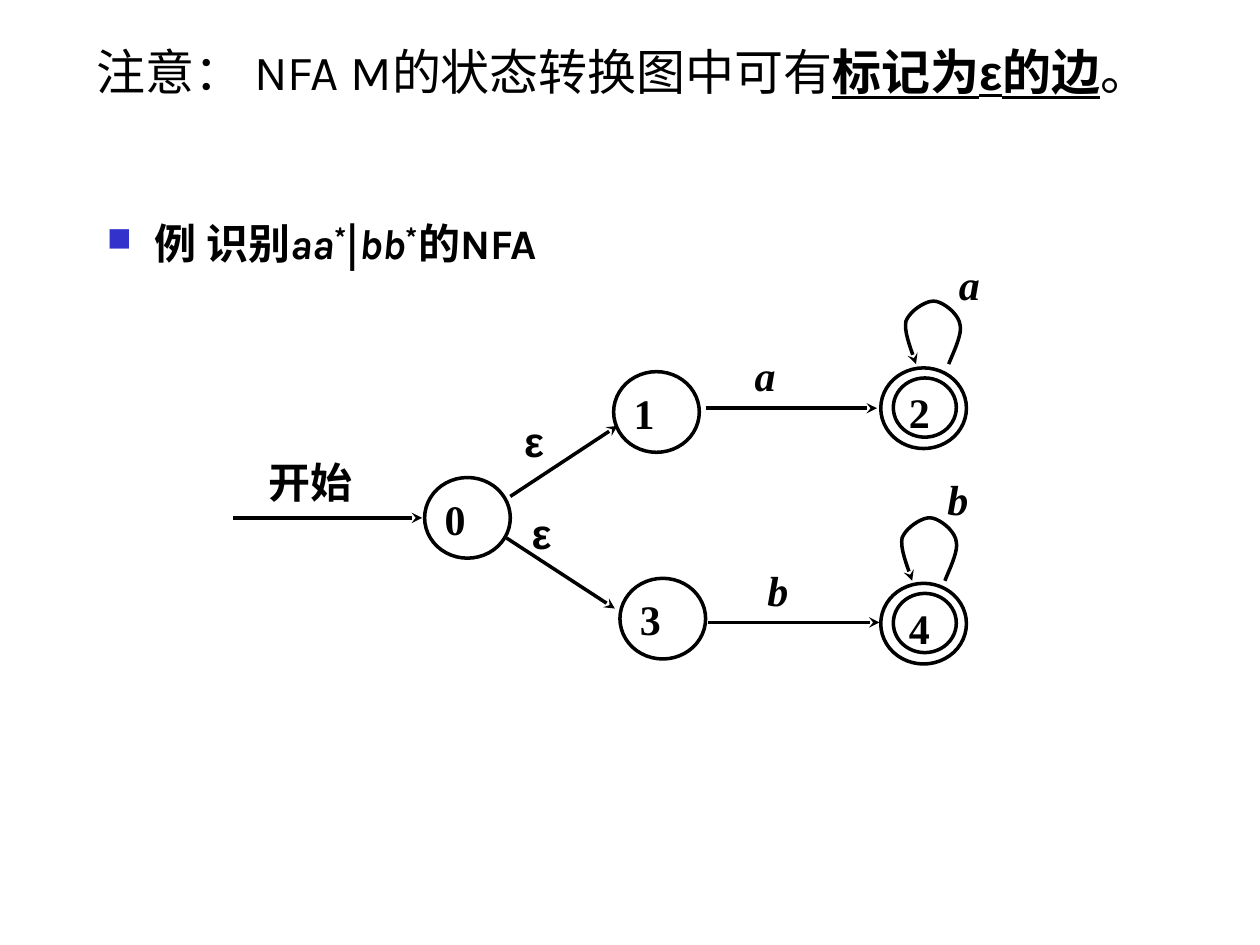
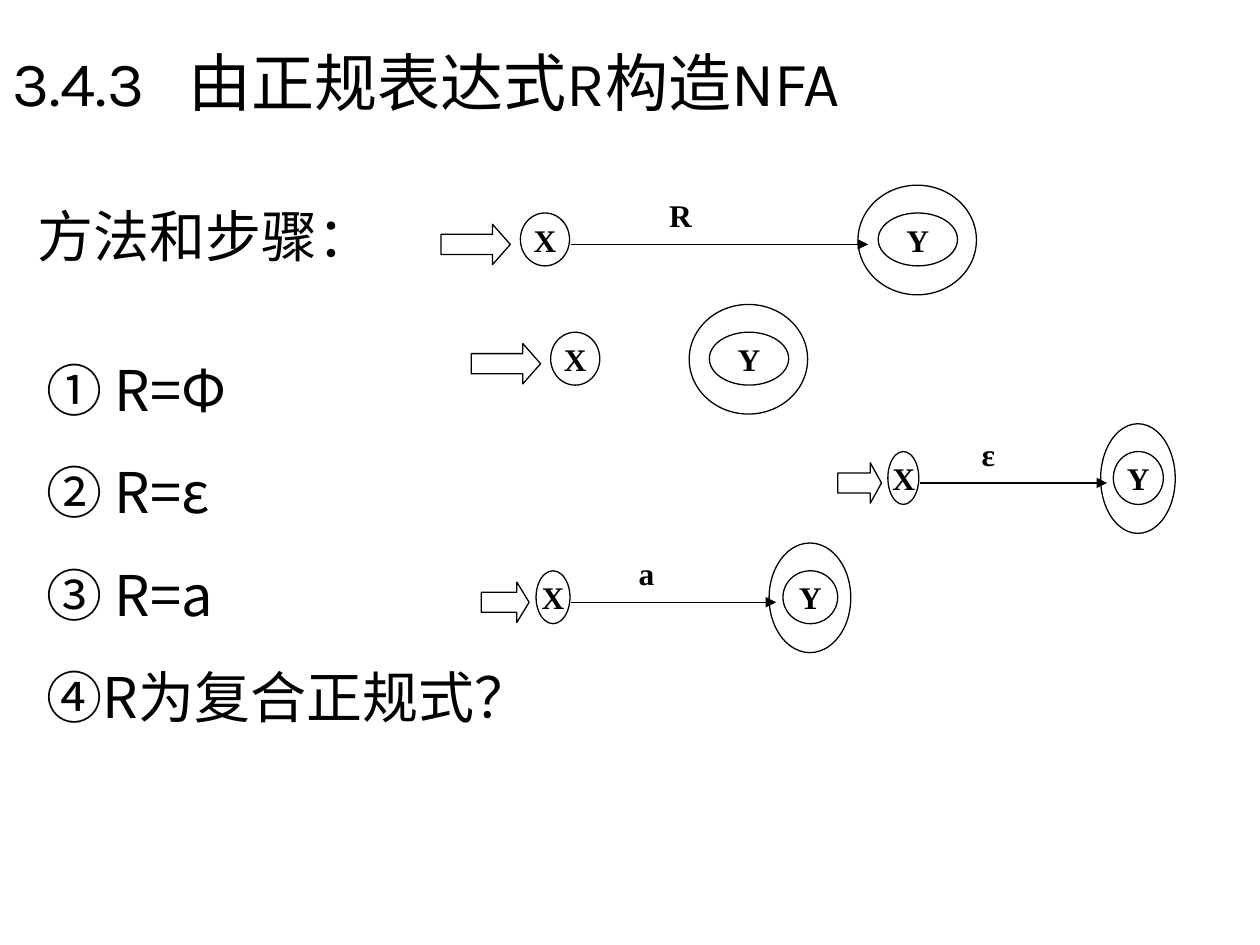
from dataclasses import dataclass

from lxml import etree
from pptx import Presentation
from pptx import util as u
from pptx.dml import color
from pptx.enum import shapes, text
from pptx.oxml import ns

Inches = u.Inches
SHAPE = shapes.MSO_SHAPE
ALIGN = text.PP_ALIGN
ANCHOR = text.MSO_ANCHOR


@dataclass(frozen=True)
class Theme:
    ink: str = "000000"
    paper: str = "FFFFFF"
    bullet: str = "3333CC"
    serif: str = "Times New Roman"
    sans: str = "Karla"
    greek: str = "Arial"
    cjk: str = "Noto Sans CJK SC"
    title: int = 36
    body: int = 32
    note: int = 28
    state: int = 24
    small: int = 18
    thick: float = 2
    thin: float = 0.75


THEME = Theme()
BOX_INSETS = (0.1, 0.05, 0.1, 0.05)
LABEL_INSETS = (0.06, 0.03, 0.06, 0.03)
NO_INSETS = (0, 0, 0, 0)
LOOP = [(0, 0), (0.02, -0.06), (0.11, -0.23), (0.09, -0.31),
        (0.08, -0.4), (-0.05, -0.5), (-0.12, -0.5),
        (-0.19, -0.5), (-0.31, -0.42), (-0.34, -0.34),
        (-0.36, -0.25), (-0.28, -0.07), (-0.26, 0)]


def rgb(value):
    return color.RGBColor.from_string(value)


def add_xml(parent, tag, **attributes):
    return etree.SubElement(parent, ns.qn(tag), attributes)


def bezier(start, first, second, end, steps=10):
    for step in range(1, steps + 1):
        t = step / steps
        weights = ((1 - t) ** 3, 3 * t * (1 - t) ** 2, 3 * t ** 2 * (1 - t), t ** 3)
        yield tuple(sum(weight * point[axis] for weight, point
                        in zip(weights, (start, first, second, end)))
                    for axis in (0, 1))


class SlideBuilder:
    def __init__(self, deck, theme):
        self.deck = deck
        self.theme = theme
        self.page = None

    def new_page(self):
        self.page = self.deck.slides.add_slide(self.deck.slide_layouts[6])
        self.page.background.fill.solid()
        self.page.background.fill.fore_color.rgb = rgb(self.theme.paper)

    def add_span(self, para, content, size, font, bold=False, italic=False,
                 underline=False, raised=False):
        span = para.add_run()
        span.text = content
        span.font.size = u.Pt(size)
        span.font.name = font
        span.font.bold = bold
        span.font.italic = italic
        span.font.underline = underline
        span.font.color.rgb = rgb(self.theme.ink)
        properties = span._r.get_or_add_rPr()
        add_xml(properties, "a:ea", typeface=self.theme.cjk)
        if raised:
            properties.set("baseline", "30000")

    def fill_frame(self, box, paragraphs, size, insets, align=ALIGN.LEFT,
                   anchor=ANCHOR.TOP, gap=0):
        frame = box.text_frame
        frame.word_wrap = True
        frame.vertical_anchor = anchor
        (frame.margin_left, frame.margin_top,
         frame.margin_right, frame.margin_bottom) = map(Inches, insets)
        for index, spans in enumerate(paragraphs):
            para = frame.add_paragraph() if index else frame.paragraphs[0]
            para.alignment = align
            if index:
                para.space_before = u.Pt(gap)
            for content, font, *styles in spans:
                self.add_span(para, content, size, font,
                              **{style: True for style in styles})

    def text_box(self, place, paragraphs, size, insets=BOX_INSETS, filled=False, **layout):
        box = self.page.shapes.add_textbox(*map(Inches, place))
        if filled:
            box.fill.solid()
            box.fill.fore_color.rgb = rgb(self.theme.paper)
        self.fill_frame(box, paragraphs, size, insets, **layout)
        return box

    def hang(self, para, bulleted=False):
        para.line_spacing = 1.15
        properties = para._p.get_or_add_pPr()
        properties.set("marL", str(Inches(0.38)))
        properties.set("indent", str(-Inches(0.38)))
        if bulleted:
            add_xml(add_xml(properties, "a:buClr"), "a:srgbClr", val=self.theme.bullet)
            add_xml(properties, "a:buSzPct", val="80000")
            add_xml(properties, "a:buChar", char="■")

    def outline(self, shape, width):
        shape.shadow.inherit = False
        shape.fill.background()
        shape.line.color.rgb = rgb(self.theme.ink)
        shape.line.width = u.Pt(width)

    def shape(self, kind, place, width):
        shape = self.page.shapes.add_shape(kind, *map(Inches, place))
        self.outline(shape, width)
        return shape

    def arrowhead(self, line, kind):
        add_xml(line.line._get_or_add_ln(), "a:tailEnd", type=kind)

    def arrow(self, start, end, width, head):
        line = self.page.shapes.add_connector(
            shapes.MSO_CONNECTOR.STRAIGHT, *map(Inches, (*start, *end)))
        line.line.color.rgb = rgb(self.theme.ink)
        line.line.width = u.Pt(width)
        self.arrowhead(line, head)
        add_xml(line._element.spPr, "a:effectLst")

    def self_loop(self, left, top):
        points = []
        for index in range(0, len(LOOP) - 1, 3):
            points += bezier(*LOOP[index:index + 4])
        builder = self.page.shapes.build_freeform(Inches(left), Inches(top))
        builder.add_line_segments(
            [(Inches(left + x), Inches(top + y)) for x, y in points], close=False)
        loop = builder.convert_to_shape()
        self.outline(loop, self.theme.thick)
        self.arrowhead(loop, "stealth")

    def state(self, name, left, top, final=False):
        theme = self.theme
        circle = self.shape(SHAPE.OVAL, (left, top, 0.68, 0.64), theme.thick)
        insets = (0.06, 0.03, 0.02, 0.05)
        if final:
            circle = self.shape(SHAPE.OVAL, (left + 0.1, top + 0.08, 0.5, 0.47), theme.thick)
            insets = (0.05, 0, 0.01, 0)
        self.fill_frame(circle, [[(name, theme.serif, "bold")]], theme.state, insets)

    def edge_label(self, content, left, top, font, *styles, width=0.55, height=0.51):
        self.text_box((left, top, width, height), [[(content, font, "bold", *styles)]],
                      self.theme.state, LABEL_INSETS)

    def automaton(self, left, top, scale=1.0, label=None, final=3.31):
        theme = self.theme

        def place(x, y, width, height):
            return left + x * scale, top + y, width * scale, height

        entry = self.shape(SHAPE.RIGHT_ARROW, place(0, 0.31, 0.55, 0.32), theme.thin)
        entry.adjustments[1] = 0.44 * scale
        self.shape(SHAPE.OVAL, place(final, 0, 0.94, 0.87), theme.thin)
        for name, x, width in (("X", 0.63, 0.39), ("Y", final + 0.16, 0.63)):
            circle = self.shape(SHAPE.OVAL, place(x, 0.22, width, 0.42), theme.thin)
            self.fill_frame(circle, [[(name, theme.serif, "bold")]], theme.small,
                            NO_INSETS, align=ALIGN.CENTER, anchor=ANCHOR.MIDDLE)
        if label:
            height = top + 0.47
            self.arrow((left + 1.03 * scale, height), (left + 3.39 * scale, height),
                       theme.thin, "triangle")
            self.text_box(place(1.81, 0.09, 0.79, 0.3), [[(label, theme.serif, "bold")]],
                          theme.small, NO_INSETS)


def build_epsilon_page(slide):
    theme = slide.theme
    serif, sans, cjk = theme.serif, theme.sans, theme.cjk
    slide.new_page()
    note = slide.text_box((0.67, 0.21, 9.33, 1.18), [[
        ("注意： ", serif), ("NFA M", sans), ("的状态转换图中可有", serif),
        ("标记为", serif, "bold", "underline"),
        ("ε", theme.greek, "bold", "underline"),
        ("的边", serif, "bold", "underline"), ("。", serif)]], theme.note, filled=True)
    slide.hang(note.text_frame.paragraphs[0])
    example = slide.text_box((0.75, 1.62, 5.91, 0.82), [[
        ("例 识别", cjk, "bold"),
        ("aa", sans, "bold", "italic"), ("*", cjk, "bold", "raised"),
        ("|", cjk, "bold"),
        ("bb", sans, "bold", "italic"), ("*", cjk, "bold", "raised"),
        ("的", cjk, "bold"), ("NFA", sans, "bold")]], theme.state, align=ALIGN.JUSTIFY)
    slide.hang(example.text_frame.paragraphs[0], bulleted=True)

    for name, left, top, final in (("0", 3.37, 3.79, False), ("1", 4.87, 2.95, False),
                                   ("2", 6.99, 2.92, True), ("3", 4.92, 4.59, False),
                                   ("4", 6.99, 4.63, True)):
        slide.state(name, left, top, final)
    for start, end in (((1.85, 4.11), (3.35, 4.11)), ((4.05, 3.94), (4.9, 3.38)),
                       ((4.02, 4.27), (4.88, 4.83)), ((5.6, 3.24), (6.96, 3.24)),
                       ((5.62, 4.94), (6.98, 4.94))):
        slide.arrow(start, end, theme.thick, "stealth")
    for left, top in ((7.53, 2.89), (7.5, 4.61)):
        slide.self_loop(left, top)
    slide.edge_label("开始", 2.07, 3.59, serif, width=1.1, height=0.6)
    for content, left, top in (("a", 5.93, 2.74), ("a", 7.55, 2.02),
                               ("b", 6.03, 4.45), ("b", 7.46, 3.73)):
        slide.edge_label(content, left, top, serif, "italic")
    for left, top in ((4.1, 3.27), (4.16, 4)):
        slide.edge_label("ε", left, top, theme.greek)


def build_construction_page(slide):
    theme = slide.theme
    slide.new_page()
    title = slide.text_box((0, 0.21, 10, 0.87),
                           [[("3.4.3\t由正规表达式R构造NFA", theme.sans)]],
                           theme.title, filled=True, anchor=ANCHOR.MIDDLE)
    tabs = add_xml(title.text_frame.paragraphs[0]._p.get_or_add_pPr(), "a:tabLst")
    add_xml(tabs, "a:tab", pos=str(Inches(1.4)), algn="l")
    slide.text_box((0.2, 1.54, 3.23, 0.64), [[("方法和步骤：", theme.cjk)]],
                   theme.body, anchor=ANCHOR.BOTTOM)
    cases = ("① R=Φ", "② R=ε", "③ R=a", "④R为复合正规式？")
    slide.text_box((0.27, 2.77, 4.65, 3.07), [[(case, theme.cjk)] for case in cases],
                   theme.body, anchor=ANCHOR.BOTTOM, gap=20)
    rows = (dict(left=3.5, label="R"), dict(left=3.74, final=1.73),
            dict(left=6.65, label="ε", scale=0.63), dict(left=3.82, label="a", scale=0.69))
    for index, row in enumerate(rows):
        slide.automaton(top=1.47 + index * 2.84 / 3, **row)


def main():
    deck = Presentation()
    deck.slide_width, deck.slide_height = Inches(10), Inches(7.5)
    slide = SlideBuilder(deck, THEME)
    build_epsilon_page(slide)
    build_construction_page(slide)
    deck.save("out.pptx")


if __name__ == "__main__":
    main()
